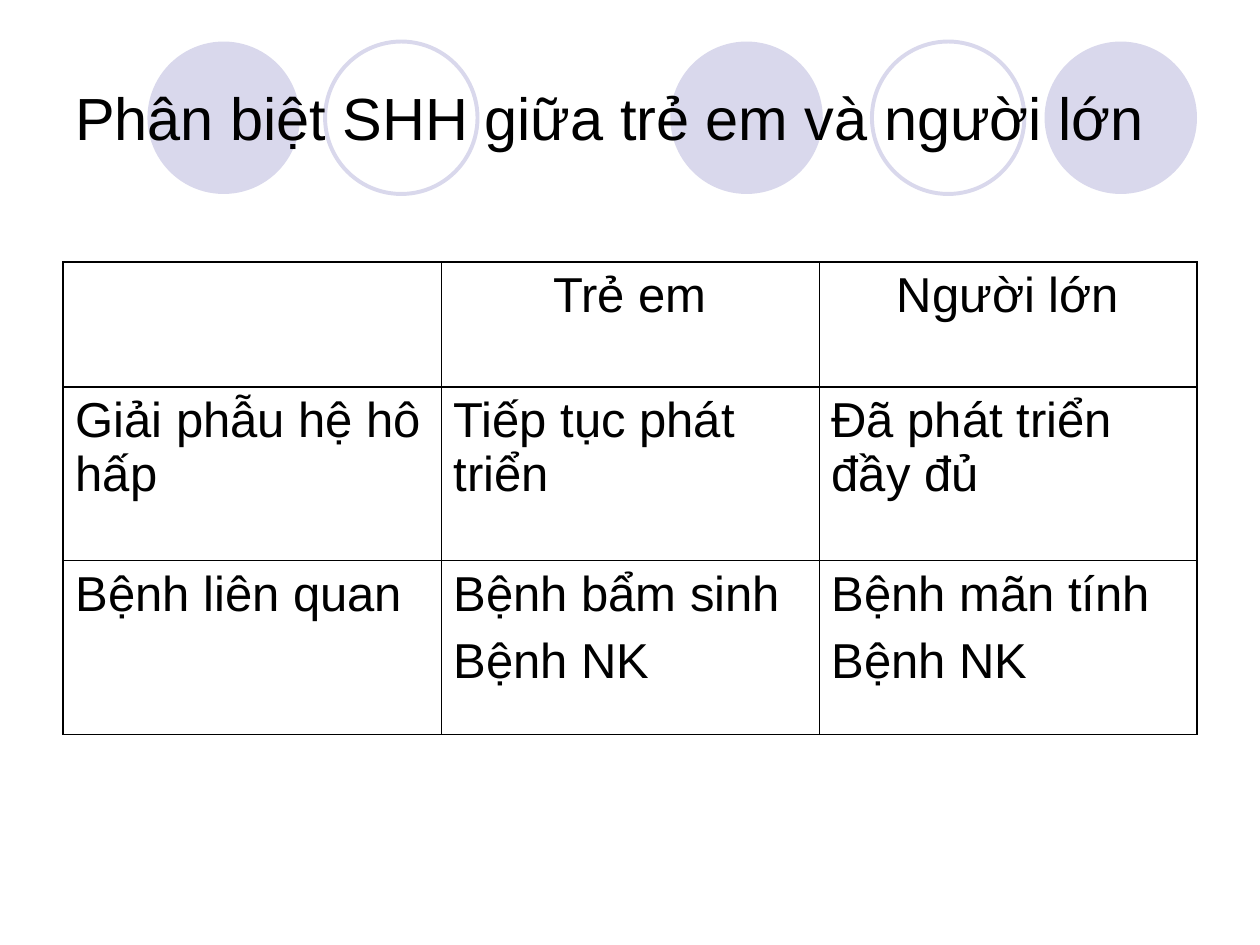
from dataclasses import dataclass

from lxml.etree import SubElement
from pptx import Presentation
from pptx.dml.color import RGBColor
from pptx.enum.shapes import MSO_SHAPE
from pptx.enum.text import MSO_ANCHOR, PP_ALIGN
from pptx.oxml.ns import qn
from pptx.util import Inches, Pt

TITLE = "Phân biệt SHH giữa trẻ em và người lớn"
ROWS = [
    [[], ["Trẻ em"], ["Người lớn"]],
    [["Giải phẫu hệ hô hấp"], ["Tiếp tục phát triển"], ["Đã phát triển đầy đủ"]],
    [["Bệnh liên quan"], ["Bệnh bẩm sinh", "Bệnh NK"], ["Bệnh mãn tính", "Bệnh NK"]],
]
# left edge in inches, filled or ring
CIRCLES = [(1.17, True), (2.58, False), (5.32, True), (6.92, False), (8.29, True)]


@dataclass(frozen=True)
class Theme:
    font: str = "Arial"
    ink: str = "000000"
    accent: str = "D9D8EC"
    title_size: float = 34
    cell_size: float = 28
    ring_width: float = 2.25
    thick: float = 1.08
    thin: float = 0.45


THEME = Theme()
WIDTH, HEIGHT = 10, 7.5
MARGIN = WIDTH * 0.05
CONTENT_W = WIDTH - 2 * MARGIN
CIRCLE_TOP, CIRCLE_SIZE = 0.33, 1.21
TITLE_TOP, TITLE_H = 0.3, 1.25
TABLE_TOP = 2.08
ROW_HEIGHTS = [0.99, 1.38, 1.38]


def add_run(p, text, size):
    r = p.add_run()
    r.text = text
    r.font.name = THEME.font
    r.font.size = Pt(size)
    r.font.color.rgb = RGBColor.from_string(THEME.ink)


def add_circle(s, left, filled):
    sp = s.shapes.add_shape(MSO_SHAPE.OVAL, Inches(left), Inches(CIRCLE_TOP),
                            Inches(CIRCLE_SIZE), Inches(CIRCLE_SIZE))
    sp.shadow.inherit = False
    accent = RGBColor.from_string(THEME.accent)
    if filled:
        sp.fill.solid()
        sp.fill.fore_color.rgb = accent
        sp.line.fill.background()
    else:
        sp.fill.background()
        sp.line.color.rgb = accent
        sp.line.width = Pt(THEME.ring_width)


def add_title(s):
    sp = s.shapes.add_textbox(Inches(MARGIN), Inches(TITLE_TOP),
                              Inches(CONTENT_W), Inches(TITLE_H))
    tf = sp.text_frame
    tf.word_wrap = True
    tf.vertical_anchor = MSO_ANCHOR.MIDDLE
    add_run(tf.paragraphs[0], TITLE, THEME.title_size)


def set_borders(cell, widths):
    """Draw cell borders; the lines must precede the fill in tcPr."""
    tc_pr = cell._tc.get_or_add_tcPr()
    for side, width in widths.items():
        ln = SubElement(tc_pr, qn(f"a:ln{side}"), w=str(int(Pt(width))))
        fill = SubElement(ln, qn("a:solidFill"))
        SubElement(fill, qn("a:srgbClr"), val=THEME.ink)


def fill_cell(cell, lines, align):
    tf = cell.text_frame
    for i, line in enumerate(lines):
        p = tf.add_paragraph() if i else tf.paragraphs[0]
        p.alignment = align
        if i:
            p.space_before = Pt(7)
        add_run(p, line, THEME.cell_size)


def add_comparison(s):
    n_cols = len(ROWS[0])
    table = s.shapes.add_table(len(ROWS), n_cols, Inches(MARGIN), Inches(TABLE_TOP),
                               Inches(CONTENT_W), Inches(sum(ROW_HEIGHTS))).table
    table.first_row = table.horz_banding = False
    for col in table.columns:
        col.width = Inches(CONTENT_W / n_cols)
    for r, (row, height) in enumerate(zip(ROWS, ROW_HEIGHTS)):
        table.rows[r].height = Inches(height)
        for c, lines in enumerate(row):
            cell = table.cell(r, c)
            fill_cell(cell, lines, PP_ALIGN.LEFT if r else PP_ALIGN.CENTER)
            set_borders(cell, {
                "L": THEME.thin if c else THEME.thick,
                "R": THEME.thin if c < n_cols - 1 else THEME.thick,
                "T": THEME.thick,
                "B": THEME.thick,
            })
            cell.fill.background()


def main():
    prs = Presentation()
    prs.slide_width, prs.slide_height = Inches(WIDTH), Inches(HEIGHT)
    s = prs.slides.add_slide(prs.slide_layouts[6])
    for left, filled in CIRCLES:
        add_circle(s, left, filled)
    add_title(s)
    add_comparison(s)
    prs.save("out.pptx")


if __name__ == "__main__":
    main()
